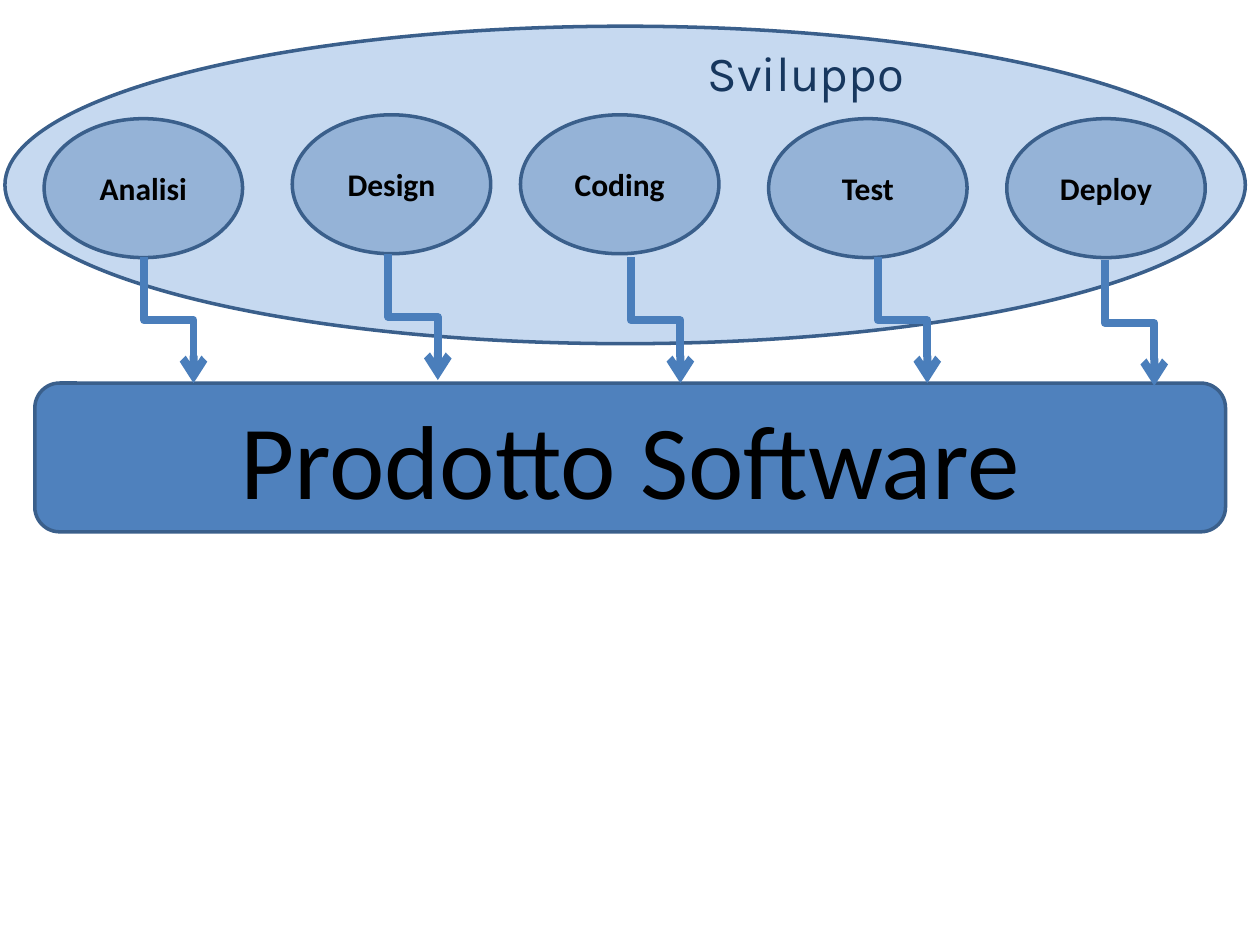
import pptx
import pptx.dml.color
import pptx.enum.shapes
import pptx.enum.text
import pptx.oxml
import pptx.oxml.ns
import pptx.util

Pt = pptx.util.Pt
SHAPES = pptx.enum.shapes.MSO_SHAPE

# Content: phase, ellipse left and top, arrow start x and y
PHASES = [
    ("Analisi", 25.2, 67.8, 82.3, 147),
    ("Design", 167, 65.6, 221.9, 145.2),
    ("Coding", 297.4, 65.6, 360.5, 147),
    ("Test", 439.2, 67.8, 501.6, 147),
    ("Deploy", 575.3, 67.8, 631.3, 148.6),
]
STAGE_TITLE = "Sviluppo"
PRODUCT = "Prodotto Software"

PHASE_WIDTH, PHASE_HEIGHT = 113.4, 79.4
ARROW_RUN, ARROW_DROP = 28.3, 72
OUTLINE = "3A5F8B"


def color(hex_value):
    return pptx.dml.color.RGBColor.from_string(hex_value)


def style_text(paragraph, text, size, font_name, hex_value, bold=False):
    paragraph.text = text
    font = paragraph.font
    font.size, font.name, font.bold = Pt(size), font_name, bold
    font.color.rgb = color(hex_value)


def add_box(slide, kind, left, top, width, height, fill, text="", size=18, bold=False):
    shape = slide.shapes.add_shape(kind, Pt(left), Pt(top), Pt(width), Pt(height))
    shape.shadow.inherit = False
    shape.fill.solid()
    shape.fill.fore_color.rgb = color(fill)
    shape.line.color.rgb = color(OUTLINE)
    shape.line.width = Pt(2)
    if text:
        paragraph = shape.text_frame.paragraphs[0]
        paragraph.alignment = pptx.enum.text.PP_ALIGN.CENTER
        style_text(paragraph, text, size, "Calibri", "000000", bold)
    return shape


def add_child(parent, xml):
    namespace = pptx.oxml.ns.nsdecls("a")
    parent.append(pptx.oxml.parse_xml(xml.replace("/>", f" {namespace}/>")))


def add_down_arrow(slide, x, y):
    """Elbow that goes down, right, down: a flipped elbow turned by 270 degrees."""
    center_x, center_y = x + ARROW_RUN / 2, y + ARROW_DROP / 2
    connector = slide.shapes.add_connector(
        pptx.enum.shapes.MSO_CONNECTOR.ELBOW,
        Pt(center_x + ARROW_DROP / 2), Pt(center_y - ARROW_RUN / 2),
        Pt(center_x - ARROW_DROP / 2), Pt(center_y + ARROW_RUN / 2))
    properties = connector._element.spPr
    properties.find(pptx.oxml.ns.qn("a:xfrm")).set("rot", str(270 * 60000))
    connector.line.color.rgb = color("4A7EBB")
    connector.line.width = Pt(4.5)
    add_child(properties.find(pptx.oxml.ns.qn("a:ln")), '<a:tailEnd type="arrow"/>')
    add_child(properties, "<a:effectLst/>")


def main():
    presentation = pptx.Presentation()
    presentation.slide_width, presentation.slide_height = Pt(720), Pt(540)
    slide = presentation.slides.add_slide(presentation.slide_layouts[6])

    # Development stage, half transparent
    stage = add_box(slide, SHAPES.OVAL, 2.8, 15, 708.8, 181.4, "8EB4E3")
    fill_color = stage._element.spPr.find(pptx.oxml.ns.qn("a:solidFill"))[0]
    add_child(fill_color, '<a:alpha val="50000"/>')

    # Product
    add_box(slide, SHAPES.ROUNDED_RECTANGLE, 19.9, 218.9, 680.4, 85,
            "4F81BD", PRODUCT, 60)

    # Phases
    for name, left, top, _, _ in PHASES:
        add_box(slide, SHAPES.OVAL, left, top, PHASE_WIDTH, PHASE_HEIGHT,
                "95B3D7", name, bold=True)

    # Arrows from the phases to the product
    for _, _, _, x, y in PHASES:
        add_down_arrow(slide, x, y)

    # Stage title
    title = slide.shapes.add_textbox(Pt(397.4), Pt(21), Pt(132.5), Pt(41))
    title.text_frame.word_wrap = True
    style_text(title.text_frame.paragraphs[0], STAGE_TITLE, 28, "Karla", "17375E")

    presentation.save("out.pptx")


if __name__ == "__main__":
    main()
